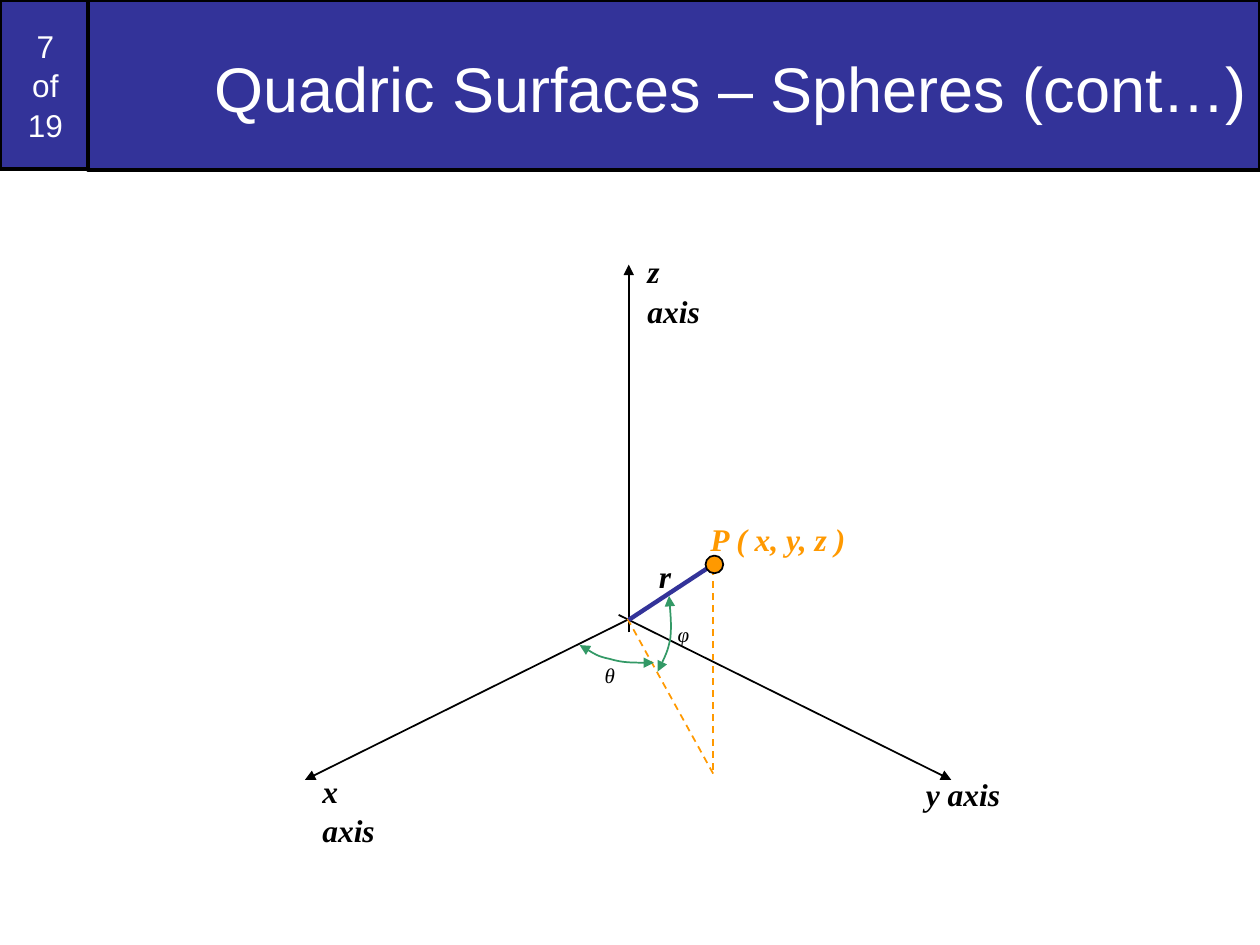
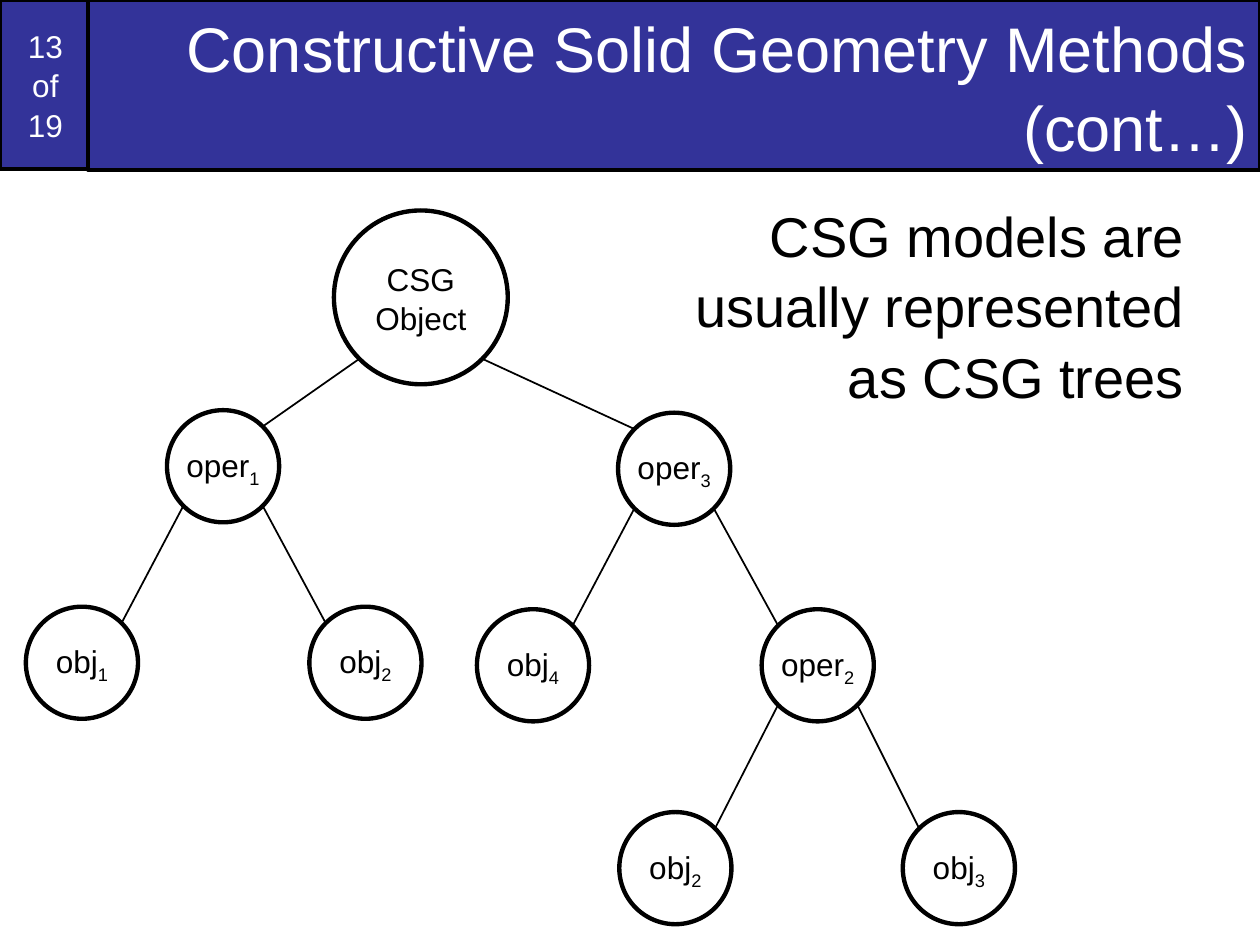
from lxml import etree
from pptx import Presentation
from pptx.dml.color import RGBColor
from pptx.enum import dml, shapes, text
from pptx.oxml import ns
from pptx.util import Inches, Pt

NAVY = RGBColor(0x33, 0x33, 0x99)
BLACK = RGBColor(0, 0, 0)
WHITE = RGBColor(0xFF, 0xFF, 0xFF)
AMBER = RGBColor(0xFF, 0x99, 0x00)
GREEN = RGBColor(0x33, 0x99, 0x66)
SANS, SERIF = "Arial", "Times New Roman"
TOTAL = 19
DIAG = 0.5 ** 0.5


def sub(node, tag, **attrs):
    """Append a child element with the given attributes."""
    return etree.SubElement(node, ns.qn(tag), attrs)


def move(shape, box):
    """Place a shape in a box of left, top, width and height."""
    shape.left, shape.top, shape.width, shape.height = map(Inches, box)


def style(para, align):
    """Set the alignment and spacing of a paragraph."""
    para.alignment = align
    para.line_spacing = 1.05
    para.space_before = Pt(0)


def write(para, words, size, color, face=SANS, bold=False, slant=False):
    """Add one formatted run to a paragraph."""
    run = para.add_run()
    run.text = words
    font = run.font
    font.name, font.size, font.bold, font.italic = face, Pt(size), bold, slant
    font.color.rgb = color
    return run


def paint(shape, fill, width):
    """Give a shape a flat fill and a black outline."""
    shape.fill.solid()
    shape.fill.fore_color.rgb = fill
    shape.line.color.rgb = BLACK
    shape.line.width = Pt(width)


def solid(slide, kind, box, fill, width):
    """Add a flat preset shape."""
    shape = slide.shapes.add_shape(kind, *map(Inches, box))
    paint(shape, fill, width)
    shape.shadow.inherit = False
    shape.text_frame.vertical_anchor = text.MSO_ANCHOR.MIDDLE
    return shape


def tips(line, *ends):
    """Put triangle arrowheads on the named ends of a line."""
    node = line._element.spPr.find(ns.qn("a:ln"))
    for end in ends:
        sub(node, f"a:{end}End", type="triangle")


def link(slide, start, end, color=BLACK, width=1, dash=False, arrow=False):
    """Draw a straight line between two points."""
    line = slide.shapes.add_connector(
        shapes.MSO_CONNECTOR.STRAIGHT, *map(Inches, (*start, *end)))
    line.line.color.rgb = color
    line.line.width = Pt(width)
    if dash:
        line.line.dash_style = dml.MSO_LINE.DASH
    if arrow:
        tips(line, "tail")
    sub(line._element.spPr, "a:effectLst")


def curve(slide, points):
    """Draw a green Bezier arc with arrowheads on both ends."""
    spots = [(Inches(x), Inches(y)) for x, y in points]
    form = slide.shapes.build_freeform(*spots[0])
    form.add_line_segments(spots[1:], close=False)
    arc = form.convert_to_shape()
    arc.fill.background()
    arc.line.color.rgb = GREEN
    arc.line.width = Pt(1)
    arc.shadow.inherit = False
    tips(arc, "head", "tail")
    legs = list(arc._element.iter(ns.qn("a:lnTo")))
    track = legs[0].getparent()
    for i in range(0, len(legs), 3):
        bend = sub(track, "a:cubicBezTo")
        for leg in legs[i:i + 3]:
            bend.append(leg[0])
            track.remove(leg)


def label(slide, box, words, size=18, color=BLACK, bold=True):
    """Add an italic serif label."""
    frame = slide.shapes.add_textbox(*map(Inches, box)).text_frame
    frame.word_wrap = False
    para = frame.paragraphs[0]
    style(para, text.PP_ALIGN.LEFT)
    write(para, words, size, color, SERIF, bold, True)


def header(slide, page, words):
    """Add the page counter and the title band."""
    count = solid(slide, shapes.MSO_SHAPE.RECTANGLE,
                  (0, 0, 0.72, 1.34), NAVY, 2)
    slide.shapes._spTree.insert(2, count._element)
    para = count.text_frame.paragraphs[0]
    style(para, text.PP_ALIGN.CENTER)
    for i, part in enumerate((str(page), "of", str(TOTAL))):
        if i:
            para.add_line_break()
        write(para, part, 18, WHITE)
    title = slide.shapes.title
    move(title, (0.7, 0, 9.3, 1.35))
    paint(title, NAVY, 2)
    frame = title.text_frame
    frame.auto_size = text.MSO_AUTO_SIZE.NONE
    frame.vertical_anchor = text.MSO_ANCHOR.MIDDLE
    style(frame.paragraphs[0], text.PP_ALIGN.RIGHT)
    write(frame.paragraphs[0], words, 36, WHITE)


def sphere(slide, box):
    """Draw the axes, point P, its radius and its two angles in a box."""
    left, top = box[:2]

    def at(x, y, *size):
        return (left + x, top + y, *size)

    for start, end in (((2.57, 3.08), (2.57, 0.16)),
                       ((2.49, 2.94), (5.13, 4.25)),
                       ((2.64, 2.94), (0, 4.25))):
        link(slide, at(*start), at(*end), arrow=True)
    label(slide, at(4.83, 4.15, 0.79, 0.4), "y axis")
    label(slide, at(2.62, 0, 0.77, 0.4), "z axis")
    label(slide, at(0.04, 4.12, 0.8, 0.4), "x axis")

    link(slide, at(2.56, 2.97), at(3.24, 4.2), AMBER, dash=True)
    link(slide, at(2.57, 2.98), at(3.24, 2.54), NAVY, 2.5)
    link(slide, at(3.24, 4.17), at(3.24, 2.51), AMBER, dash=True)
    solid(slide, shapes.MSO_SHAPE.OVAL, at(3.18, 2.47, 0.14, 0.14), AMBER, 1)
    label(slide, at(3.12, 2.12, 1.29, 0.4), "P ( x, y, z )", color=AMBER)
    label(slide, at(2.71, 2.42, 0.29, 0.4), "r")

    theta = ((2.18, 3.18), (2.25, 3.22), (2.32, 3.27), (2.42, 3.29),
             (2.52, 3.32), (2.64, 3.32), (2.77, 3.32))
    phi = ((2.8, 3.39), (2.84, 3.31), (2.88, 3.23), (2.9, 3.13),
           (2.91, 3.03), (2.9, 2.91), (2.89, 2.79))
    for arc in (theta, phi):
        curve(slide, [at(*spot) for spot in arc])
    label(slide, at(2.28, 3.26, 0.28, 0.3), "θ", 12, bold=False)
    label(slide, at(2.86, 2.93, 0.29, 0.3), "φ", 12, bold=False)


def node(slide, mid, size, name, index=""):
    """Draw a tree circle around its centre, with a subscript if given."""
    x, y = mid
    disc = solid(slide, shapes.MSO_SHAPE.OVAL,
                 (x - size / 2, y - size / 2, size, size), WHITE, 2.5)
    frame = disc.text_frame
    para = frame.paragraphs[0]
    style(para, text.PP_ALIGN.CENTER)
    write(para, name, 18, BLACK)
    if index:
        frame.margin_left = frame.margin_right = 0
        frame.margin_top = frame.margin_bottom = 0
        low = write(para, index, 18, BLACK)
        low.font._element.set("baseline", "-25000")


def tree(slide, box):
    """Draw the CSG tree in a box, each child joined to its parent."""
    left, top = box[:2]
    big, small = 1.38, 0.89
    nodes = {
        "root": (3.14, 0.69, big, "CSG Object", "", None),
        "a": (1.57, 2.03, small, "oper", "1", "root"),
        "a1": (0.45, 3.59, small, "obj", "1", "a"),
        "a2": (2.7, 3.59, small, "obj", "2", "a"),
        "b": (5.15, 2.05, small, "oper", "3", "root"),
        "b1": (4.03, 3.61, small, "obj", "4", "b"),
        "b2": (6.29, 3.61, small, "oper", "2", "b"),
        "c1": (5.16, 5.22, small, "obj", "2", "b2"),
        "c2": (7.41, 5.22, small, "obj", "3", "b2"),
    }
    for x, y, size, name, index, over in nodes.values():
        node(slide, (left + x, top + y), size, name, index)
        if over:
            px, py, wide = nodes[over][:3]
            side = 1 if x > px else -1
            out, back = wide / 2 * DIAG, size / 2 * DIAG
            link(slide, (left + px + side * out, top + py + out),
                 (left + x - side * back, top + y - back))


def remark(slide, box):
    """Fill the body placeholder with the right-aligned remark."""
    body = slide.placeholders[1]
    move(body, box)
    frame = body.text_frame
    frame.auto_size = text.MSO_AUTO_SIZE.NONE
    para = frame.paragraphs[0]
    style(para, text.PP_ALIGN.RIGHT)
    props = para._p.get_or_add_pPr()
    props.set("marL", "0")
    props.set("indent", "0")
    sub(props, "a:buNone")
    write(para, "CSG models are usually represented as CSG trees", 32, BLACK)


def main():
    """Build both slides and save the deck."""
    deck = Presentation()
    deck.slide_width, deck.slide_height = Inches(10), Inches(7.5)
    first = deck.slides.add_slide(deck.slide_layouts[5])
    header(first, 7, "Quadric Surfaces – Spheres (cont…)")
    sphere(first, (2.42, 1.94, 5.62, 4.55))
    second = deck.slides.add_slide(deck.slide_layouts[1])
    header(second, 13, "Constructive Solid Geometry Methods (cont…)")
    tree(second, (0.2, 1.67, 7.85, 5.66))
    remark(second, (5.23, 1.52, 4.27, 1.79))
    deck.save("out.pptx")


if __name__ == "__main__":
    main()
